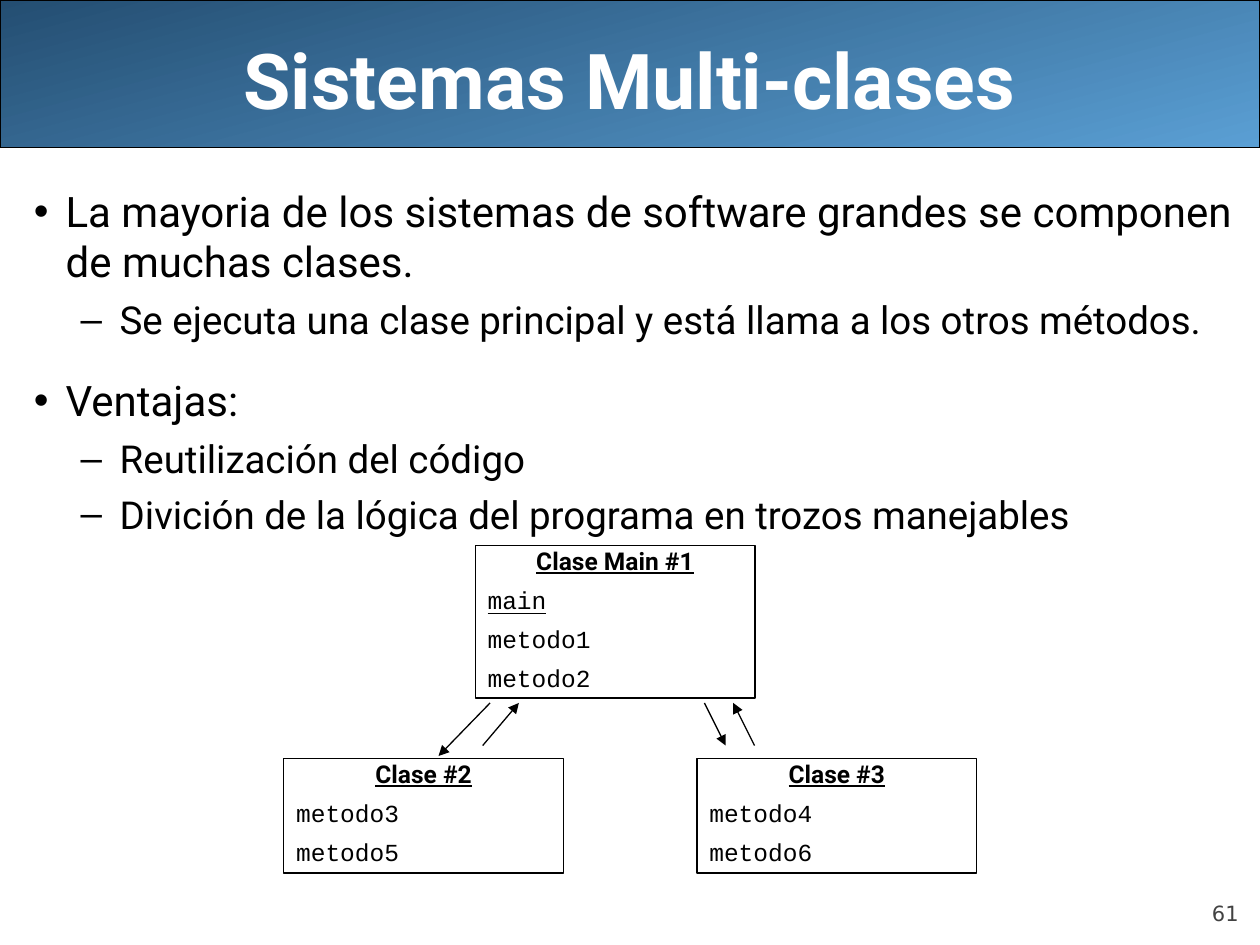
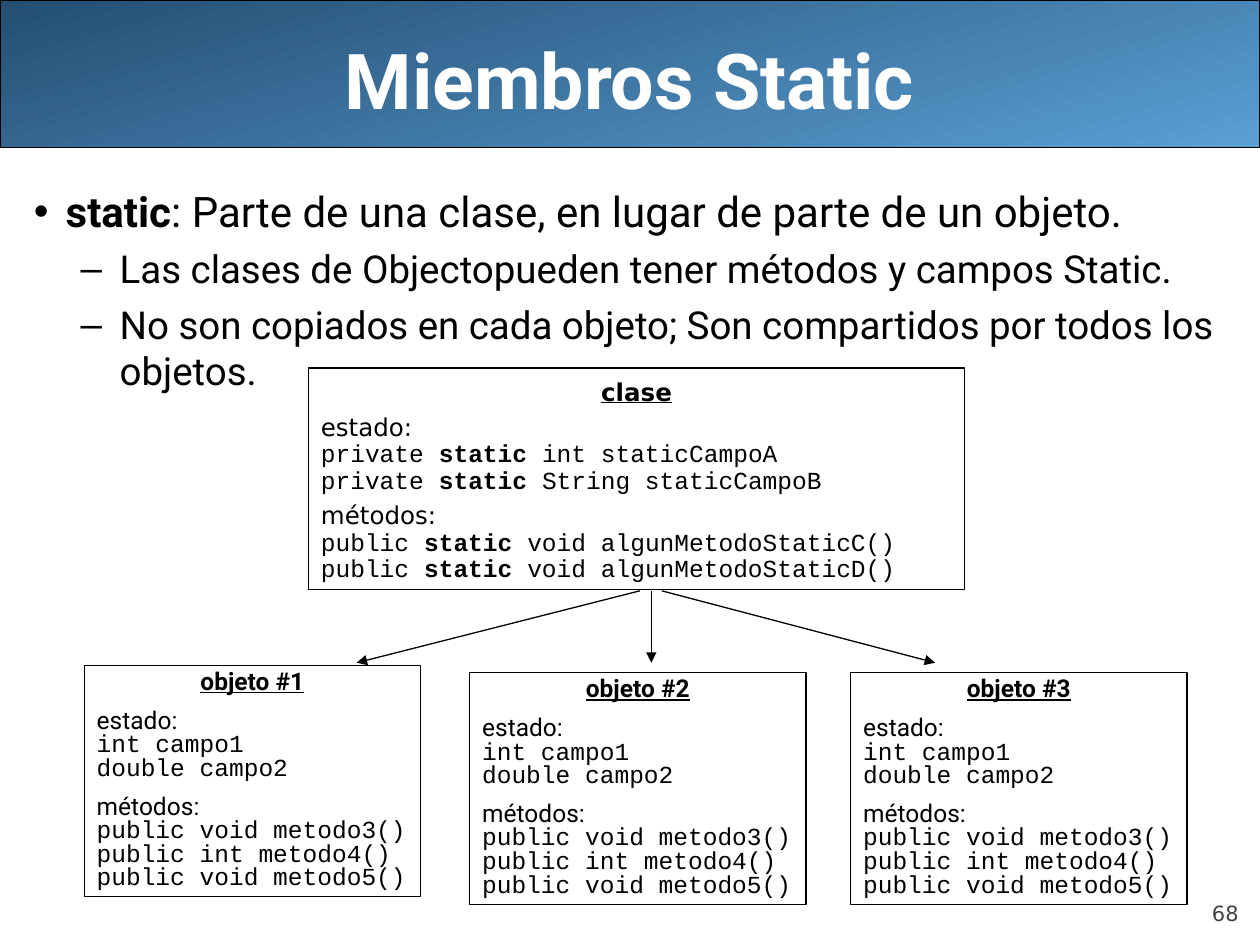
from copy import deepcopy
from dataclasses import dataclass
from typing import NamedTuple

from lxml import etree
from pptx import Presentation
from pptx.dml.color import RGBColor
from pptx.enum.shapes import MSO_CONNECTOR, MSO_SHAPE
from pptx.enum.text import MSO_ANCHOR, MSO_AUTO_SIZE, PP_ALIGN
from pptx.oxml.ns import qn
from pptx.util import Cm, Pt

BLACK = RGBColor(0x00, 0x00, 0x00)
WHITE = RGBColor(0xFF, 0xFF, 0xFF)
GRAY = RGBColor(0x42, 0x42, 0x42)
LIGHT_BLUE = RGBColor(0x5A, 0x9F, 0xD4)
DARK_BLUE = RGBColor(0x24, 0x4E, 0x72)

ROBOTO, COURIER, DEJAVU = "Roboto", "Courier New", "DejaVu Sans"
LEFT, CENTER, RIGHT = PP_ALIGN.LEFT, PP_ALIGN.CENTER, PP_ALIGN.RIGHT
TOP, MIDDLE, BOTTOM = MSO_ANCHOR.TOP, MSO_ANCHOR.MIDDLE, MSO_ANCHOR.BOTTOM
FIXED_SIZE, GROW = MSO_AUTO_SIZE.NONE, MSO_AUTO_SIZE.SHAPE_TO_FIT_TEXT
RECTANGLE, ROUNDED = MSO_SHAPE.RECTANGLE, MSO_SHAPE.ROUNDED_RECTANGLE
STRAIGHT = MSO_CONNECTOR.STRAIGHT

SLIDE_WIDTH, SLIDE_HEIGHT = Cm(25.4), Cm(19.05)
THIN = Pt(0.75)


class Level(NamedTuple):
    size: float
    margin: float
    hanging: float
    before: float


LEVELS = (Level(24, 0.64, 0.64, 6), Level(22, 1.73, 0.79, 5.5))


class Span(NamedTuple):
    text: str
    font: str = COURIER
    bold: bool = False
    underline: bool = False


Line = tuple[Span, ...]
Block = tuple[Line, ...]


class Bullet(NamedTuple):
    level: int
    spans: Line
    before: float | None = None


class Arrow(NamedTuple):
    """Start and end points in centimetres."""
    x1: float
    y1: float
    x2: float
    y2: float


@dataclass(frozen=True)
class ClassBox:
    left: float
    top: float
    width: float
    height: float
    heading: str
    blocks: tuple[Block, ...]
    filled: bool = True
    heading_font: str = ROBOTO
    heading_spacing: float = 0.8
    line_spacing: float = 0.8
    gap: float = 8.8


@dataclass(frozen=True)
class Page:
    title: str
    number: str
    bullets: tuple[Bullet, ...]
    boxes: tuple[ClassBox, ...]
    arrows: tuple[Arrow, ...]


def plain(text: str) -> Line:
    return (Span(text, ROBOTO),)


def code(text: str) -> Line:
    """Code line with the keyword static in bold."""
    before, keyword, after = text.partition(" static ")
    if not keyword:
        return (Span(text),)
    return Span(f"{before} "), Span("static", bold=True), Span(f" {after}")


def section(label: str, *members: str, font: str = ROBOTO) -> Block:
    return ((Span(label, font),), *map(code, members))


def methods(*names: str) -> tuple[Block, ...]:
    return tuple(((Span(name, underline=name == "main"),),) for name in names)


def add_text(paragraph, text: str, *, font: str = ROBOTO, size: float = 14,
             color: RGBColor = BLACK, bold: bool = False, underline: bool = False) -> None:
    run = paragraph.add_run()
    run.text = text
    run.font.name = font
    run.font.size = Pt(size)
    run.font.color.rgb = color
    run.font.bold = bold
    run.font.underline = underline


def add_break(paragraph) -> None:
    """Line break that keeps the format of the run before it."""
    properties = deepcopy(paragraph.runs[-1]._r.rPr)
    paragraph.add_line_break()
    paragraph._p[-1].append(properties)


def next_paragraph(frame, index: int):
    return frame.add_paragraph() if index else frame.paragraphs[0]


def place(shape, left: float, top: float, width: float, height: float) -> None:
    shape.left, shape.top = Cm(left), Cm(top)
    shape.width, shape.height = Cm(width), Cm(height)


def draw_title(slide, title: str) -> None:
    heading = slide.shapes.title
    place(heading, 1.27, 0, 22.86, 3.18)
    heading.text_frame.auto_size = FIXED_SIZE
    heading.text_frame.vertical_anchor = MIDDLE
    paragraph = heading.text_frame.paragraphs[0]
    paragraph.alignment = CENTER
    add_text(paragraph, title, size=44, color=WHITE, bold=True)

    band = slide.shapes.add_shape(ROUNDED, 0, 0, SLIDE_WIDTH, Cm(2.97))
    band.adjustments[0] = 0
    band.shadow.inherit = False
    band.fill.gradient()
    band.fill.gradient_angle = 105
    for stop, color in zip(band.fill.gradient_stops, (LIGHT_BLUE, DARK_BLUE)):
        stop.color.rgb = color
    band.line.color.rgb = BLACK
    band.line.width = THIN
    heading.element.addprevious(band.element)


def draw_page_number(slide, number: str) -> None:
    footer = slide.shapes.add_textbox(Cm(22.86), Cm(17.65), Cm(2.11), Cm(1.02))
    frame = footer.text_frame
    frame.word_wrap = True
    frame.vertical_anchor = BOTTOM
    frame.margin_left = frame.margin_right = frame.margin_top = frame.margin_bottom = 0
    frame.paragraphs[0].alignment = RIGHT
    add_text(frame.paragraphs[0], number, font=DEJAVU, size=12, color=GRAY)


def draw_bullets(slide, bullets: tuple[Bullet, ...]) -> None:
    body = slide.placeholders[1]
    place(body, 0.43, 3.61, 24.97, 14.4)
    body.text_frame.auto_size = FIXED_SIZE
    for index, bullet in enumerate(bullets):
        level = LEVELS[bullet.level]
        paragraph = next_paragraph(body.text_frame, index)
        paragraph.level = bullet.level
        properties = paragraph._p.get_or_add_pPr()
        properties.set("marL", str(Cm(level.margin)))
        properties.set("indent", str(-Cm(level.hanging)))
        paragraph.space_before = Pt((bullet.before or level.before) if index else 0)
        for span in bullet.spans:
            add_text(paragraph, span.text, size=level.size, bold=span.bold)


def draw_class_box(slide, box: ClassBox) -> None:
    shape = slide.shapes.add_shape(
        RECTANGLE, Cm(box.left), Cm(box.top), Cm(box.width), Cm(box.height))
    shape.shadow.inherit = False
    if box.filled:
        shape.fill.solid()
        shape.fill.fore_color.rgb = WHITE
    else:
        shape.fill.background()
    shape.line.color.rgb = BLACK
    shape.line.width = THIN
    frame = shape.text_frame
    frame.word_wrap = True
    frame.auto_size = GROW
    frame.vertical_anchor = TOP

    heading = ((Span(box.heading, box.heading_font, True, True),),)
    for index, block in enumerate((heading, *box.blocks)):
        paragraph = next_paragraph(frame, index)
        paragraph.alignment = LEFT if index else CENTER
        paragraph.line_spacing = box.line_spacing if index else box.heading_spacing
        paragraph.space_before = Pt(box.gap if index else 0)
        for row, line in enumerate(block):
            if row:
                add_break(paragraph)
            for span in line:
                add_text(paragraph, span.text, font=span.font,
                         bold=span.bold, underline=span.underline)


def draw_arrow(slide, arrow: Arrow) -> None:
    connector = slide.shapes.add_connector(STRAIGHT, *map(Cm, arrow))
    connector.line.color.rgb = BLACK
    connector.line.width = THIN
    properties = connector.element.spPr
    etree.SubElement(properties.find(qn("a:ln")), qn("a:tailEnd"), type="triangle")
    etree.SubElement(properties, qn("a:effectLst"))


def small_class(left: float, top: float, height: float, heading: str,
                *names: str) -> ClassBox:
    return ClassBox(left, top, 5.64, height, heading, methods(*names), filled=False)


MULTI_CLASS = Page(
    title="Sistemas Multi-clases",
    number="61",
    bullets=(
        Bullet(0, plain("La mayoria de los sistemas de software grandes se componen "
                        "de muchas clases.")),
        Bullet(1, plain("Se ejecuta una clase principal y está llama a los otros métodos.")),
        Bullet(0, plain("Ventajas:"), before=18.7),
        Bullet(1, plain("Reutilización del código")),
        Bullet(1, plain("Divición de la lógica del programa en trozos manejables")),
    ),
    boxes=(
        small_class(9.58, 11, 3.07, "Clase Main #1", "main", "metodo1", "metodo2"),
        small_class(5.72, 15.29, 2.31, "Clase #2", "metodo3", "metodo5"),
        small_class(14.05, 15.29, 2.31, "Clase #3", "metodo4", "metodo6"),
    ),
    arrows=(
        Arrow(9.88, 14.17, 8.84, 15.24),
        Arrow(9.73, 15.03, 10.46, 14.17),
        Arrow(14.2, 14.17, 14.63, 15.03),
        Arrow(15.21, 15.03, 14.78, 14.17),
    ),
)

OBJECT_BLOCKS = (
    section("estado:", "int campo1", "double campo2"),
    section("métodos:", "public void metodo3()", "public int metodo4()",
            "public void metodo5()"),
)
OBJECT_CORNERS = ((1.7, 13.41), (9.47, 13.56), (17.15, 13.56))

STATIC_MEMBERS = Page(
    title="Miembros Static",
    number="68",
    bullets=(
        Bullet(0, (Span("static", ROBOTO, bold=True),
                   Span(": Parte de una clase, en lugar de parte de un objeto.", ROBOTO))),
        Bullet(1, plain("Las clases de Objectopueden tener métodos y campos Static.")),
        Bullet(1, plain("No son copiados en cada objeto; Son compartidos por todos "
                        "los objetos.")),
    ),
    boxes=(
        ClassBox(6.22, 7.42, 13.23, 4.47, "clase", (
            section("estado:", "private static int staticCampoA",
                    "private static String staticCampoB", font=DEJAVU),
            section("métodos:", "public static void algunMetodoStaticC()",
                    "public static void algunMetodoStaticD()", font=DEJAVU),
        ), heading_font=DEJAVU, heading_spacing=1.1, line_spacing=0.9, gap=5),
        *(ClassBox(left, top, 6.78, 4.67, f"objeto #{number}", OBJECT_BLOCKS)
          for number, (left, top) in enumerate(OBJECT_CORNERS, start=1)),
    ),
    arrows=tuple(Arrow(start, 11.91, end, 13.36)
                 for start, end in ((12.9, 7.19), (13.13, 13.13), (13.34, 18.85))),
)


def main() -> None:
    deck = Presentation()
    deck.slide_width, deck.slide_height = SLIDE_WIDTH, SLIDE_HEIGHT
    for page in (MULTI_CLASS, STATIC_MEMBERS):
        slide = deck.slides.add_slide(deck.slide_layouts[1])
        draw_title(slide, page.title)
        draw_page_number(slide, page.number)
        draw_bullets(slide, page.bullets)
        for box in page.boxes:
            draw_class_box(slide, box)
        for arrow in page.arrows:
            draw_arrow(slide, arrow)
    deck.save("out.pptx")


if __name__ == "__main__":
    main()
